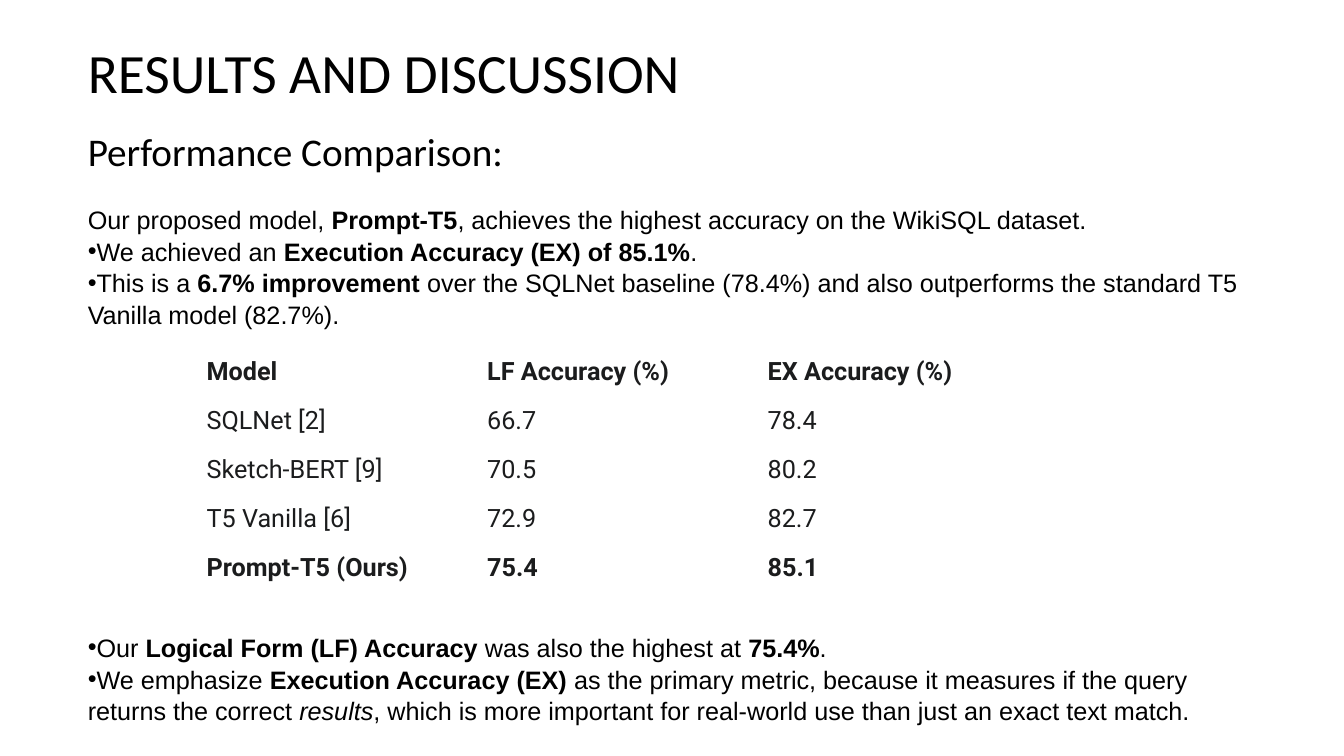
from lxml import etree
from pptx import Presentation
from pptx.dml.color import RGBColor
from pptx.enum.text import MSO_ANCHOR, MSO_AUTO_SIZE, PP_ALIGN
from pptx.oxml.ns import qn
from pptx.util import Pt

LEFT = PP_ALIGN.LEFT
TOP, MIDDLE = MSO_ANCHOR.TOP, MSO_ANCHOR.MIDDLE
NO_AUTOFIT = MSO_AUTO_SIZE.NONE

COLORS = {"text": "000000", "table": "1B1C1D", "border": "FFFFFF"}


def set_font(font, name, size, color):
    font.name = name
    font.size = Pt(size)
    font.color.rgb = RGBColor.from_string(COLORS[color])


deck = Presentation()
deck.slide_width, deck.slide_height = Pt(960), Pt(540)
page = deck.slides.add_slide(deck.slide_layouts[1])

# Title
title = page.shapes.title
title.left, title.top, title.width, title.height = Pt(55.5), Pt(29), Pt(839), Pt(50)
title.text_frame.text = "RESULTS AND DISCUSSION"
title.text_frame.auto_size = NO_AUTOFIT
title.text_frame.vertical_anchor = MIDDLE
heading = title.text_frame.paragraphs[0]
heading.alignment = LEFT
heading.line_spacing = 0.9
set_font(heading.font, "Calibri", 39.6, "text")

# Findings: (space before, bulleted, spans of text and style)
findings = [
    (20, False, [("Our proposed model, ", ""), ("Prompt-T5", "bold"),
                 (", achieves the highest accuracy on the WikiSQL dataset.", "")]),
    (0, True, [("We achieved an ", ""), ("Execution Accuracy (EX) of 85.1%", "bold"), (".", "")]),
    (0, True, [("This is a ", ""), ("6.7% improvement", "bold"),
               (" over the SQLNet baseline (78.4%) and also outperforms the standard T5 "
                "Vanilla model (82.7%).", "")]),
    (215, True, [("Our ", ""), ("Logical Form (LF) Accuracy", "bold"),
                 (" was also the highest at ", ""), ("75.4%", "bold"), (".", "")]),
    (0, True, [("We emphasize ", ""), ("Execution Accuracy (EX)", "bold"),
               (" as the primary metric, because it measures if the query returns the correct ", ""),
               ("results", "italic"),
               (", which is more important for real-world use than just an exact text match.", "")]),
]

# Body text, leaving room for the table
body = page.placeholders[1]
body.left, body.top, body.width, body.height = Pt(55.5), Pt(87.5), Pt(857), Pt(440)
frame = body.text_frame
frame.auto_size = NO_AUTOFIT
frame.vertical_anchor = TOP
frame.text = "Performance Comparison:"
for space, bulleted, spans in findings:
    para = frame.add_paragraph()
    para.space_before = Pt(space)
    for text, style in spans:
        span = para.add_run()
        span.text = text
        if style == "bold":
            span.font.bold = True
        elif style == "italic":
            span.font.italic = True

bullets = [False] + [bulleted for _, bulleted, _ in findings]
for index, (para, bulleted) in enumerate(zip(frame.paragraphs, bullets)):
    properties = para._p.get_or_add_pPr()
    properties.set("marL", "0")
    properties.set("indent", "0")
    if bulleted:
        etree.SubElement(properties, qn("a:buChar")).set("char", "•")
    else:
        etree.SubElement(properties, qn("a:buNone"))
    para.alignment = LEFT
    if index == 0:
        para.space_before = Pt(0)
        set_font(para.font, "Calibri", 28, "text")
    else:
        para.line_spacing = 1.05
        set_font(para.font, "Arial", 18, "text")

# Accuracy table
rows = [
    ("Model", "LF Accuracy (%)", "EX Accuracy (%)"),
    ("SQLNet [2]", "66.7", "78.4"),
    ("Sketch-BERT [9]", "70.5", "80.2"),
    ("T5 Vanilla [6]", "72.9", "82.7"),
    ("Prompt-T5 (Ours)", "75.4", "85.1"),
]
table = page.shapes.add_table(5, 3, Pt(140.4), Pt(248.4), Pt(601.2), Pt(175)).table
table.first_row = table.horz_banding = False
for column in table.columns:
    column.width = Pt(200.4)
for row_index, values in enumerate(rows):
    table.rows[row_index].height = Pt(35)
    for column_index, value in enumerate(values):
        cell = table.cell(row_index, column_index)
        cell.text = value
        cell.vertical_anchor = MIDDLE
        cell.margin_left = cell.margin_right = Pt(7.2)
        cell.margin_top = cell.margin_bottom = Pt(5)
        font = cell.text_frame.paragraphs[0].font
        set_font(font, "Roboto", 18, "table")
        font.bold = row_index in (0, len(rows) - 1)
        # Borders come before the fill in the cell properties
        properties = cell._tc.get_or_add_tcPr()
        for side in ("a:lnL", "a:lnR", "a:lnT", "a:lnB"):
            line = etree.SubElement(properties, qn(side), w=str(Pt(0.6)))
            solid = etree.SubElement(line, qn("a:solidFill"))
            etree.SubElement(solid, qn("a:srgbClr"), val=COLORS["border"])
        cell.fill.background()

deck.save("out.pptx")
